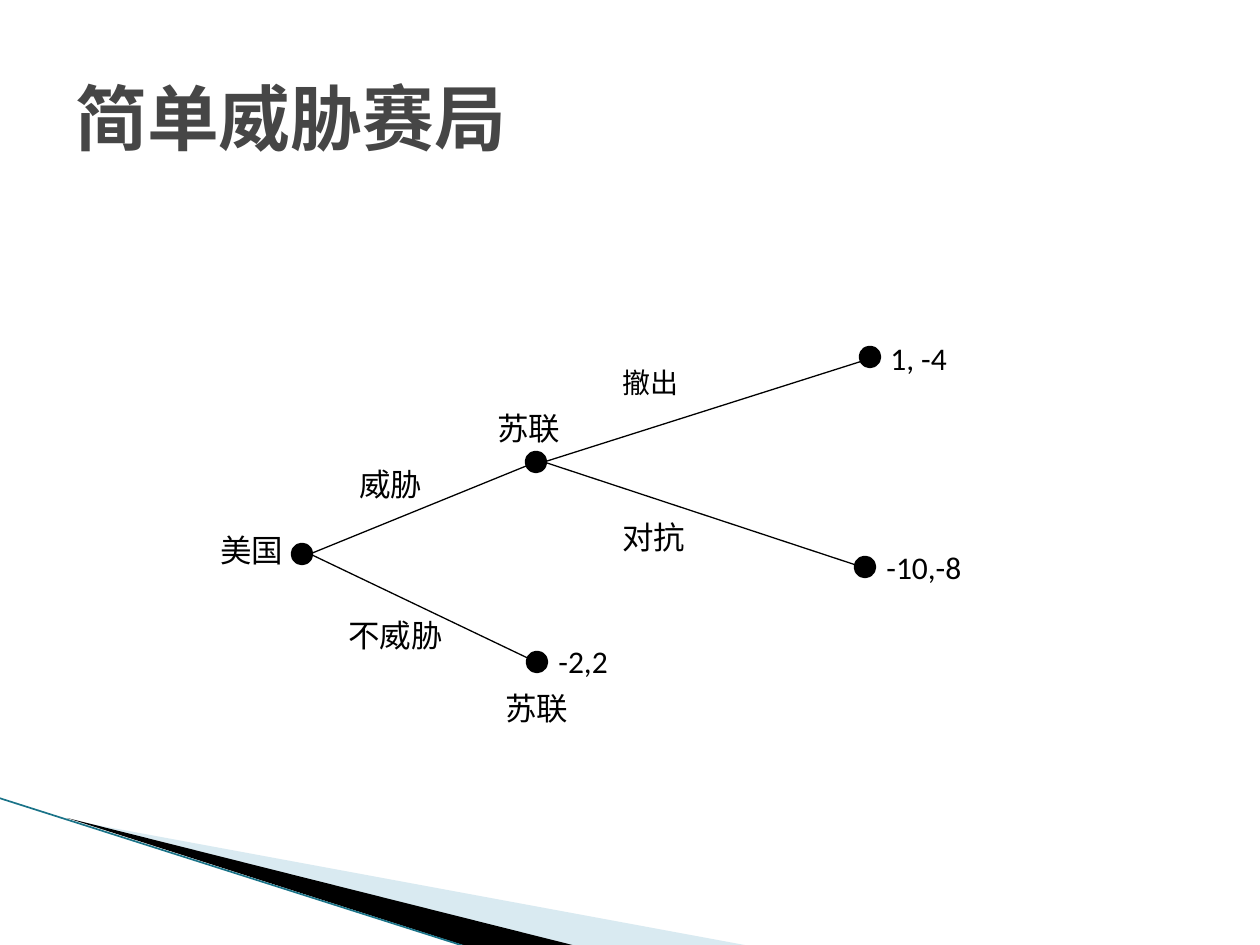
from lxml.etree import SubElement
from pptx import Presentation
from pptx.dml.color import RGBColor
from pptx.enum.shapes import MSO_CONNECTOR, MSO_SHAPE
from pptx.enum.text import MSO_ANCHOR
from pptx.oxml.ns import qn
from pptx.util import Emu, Pt

SCALE = 914400 / 126
BLACK = RGBColor(0x00, 0x00, 0x00)
GREY = RGBColor(0x46, 0x46, 0x46)
PALE = RGBColor(0xA0, 0xCB, 0xDC)
TEAL = RGBColor(0x1A, 0x73, 0x88)
HAN, MONO, SANS = "Noto Sans CJK SC", "DejaVu Sans Mono", "Calibri"

deck = Presentation()
deck.slide_width = Emu(round(1260 * SCALE))
deck.slide_height = Emu(round(945 * SCALE))
slide = deck.slides.add_slide(deck.slide_layouts[6])
shapes = slide.shapes


def add_line(start, end, color, width):
    ends = [Emu(round(n * SCALE)) for n in (*start, *end)]
    line = shapes.add_connector(MSO_CONNECTOR.STRAIGHT, *ends)
    line.line.color.rgb = color
    line.line.width = Pt(width)
    SubElement(line._element.spPr, qn("a:effectLst"))


def add_text(text, area, font, size, color=BLACK):
    box = shapes.add_textbox(*[Emu(round(n * SCALE)) for n in area])
    frame = box.text_frame
    frame.word_wrap = True
    run = frame.paragraphs[0].add_run()
    run.text = text
    run.font.name = font
    run.font.size = Pt(size)
    run.font.color.rgb = color
    # Chinese glyphs take the East Asian font
    SubElement(run.font._element, qn("a:ea")).set("typeface", font)
    return frame


# Wedges in the lower left corner
wedges = [
    (PALE, 40, [(69, 820), (750, 946), (575, 946)]),
    (BLACK, 100, [(67, 818), (576, 946), (469, 947)]),
]
for color, alpha, points in wedges:
    pen = shapes.build_freeform(*points[0], scale=SCALE)
    pen.add_line_segments(points[1:], close=True)
    wedge = pen.convert_to_shape()
    wedge.shadow.inherit = False
    wedge.fill.solid()
    wedge.fill.fore_color.rgb = color
    wedge.line.fill.background()
    if alpha < 100:
        tint = wedge._element.spPr.find(qn("a:solidFill"))[0]
        SubElement(tint, qn("a:alpha")).set("val", str(alpha * 1000))
add_line((-1, 798), (467, 947), TEAL, 0.95)

title = add_text("简单威胁赛局", (63, 38, 1134, 158), HAN, 41, GREY)
title.vertical_anchor = MSO_ANCHOR.MIDDLE
title.paragraphs[0].runs[0].font.bold = True

# Branches of the game tree
root, fork = (310, 554), (544, 462)
branches = [
    (root, (536, 462)),
    (root, (536, 662)),
    (fork, (872, 358)),
    (fork, (862, 567)),
]
for start, end in branches:
    add_line(start, end, BLACK, 0.75)

# Nodes, by centre
DOT = 15
for x, y in [(302, 554), (536, 462), (537, 662), (870, 357), (865, 567)]:
    area = (x - DOT / 2, y - DOT / 2, DOT, DOT)
    dot = shapes.add_shape(MSO_SHAPE.OVAL, *[Emu(round(n * SCALE)) for n in area])
    dot.shadow.inherit = False
    dot.fill.solid()
    dot.fill.fore_color.rgb = BLACK
    dot.line.color.rgb = BLACK
    dot.line.width = Pt(4.33)

# Players, moves and payoffs
labels = [
    ("美国", 208, 525, 102, MONO, 18),
    ("苏联", 485, 403, 102, MONO, 18),
    ("苏联", 493, 683, 102, MONO, 18),
    ("1, -4", 878, 333, 163, SANS, 18),
    ("-10,-8", 874, 542, 163, SANS, 18),
    ("-2,2", 546, 636, 163, SANS, 18),
    ("威胁", 347, 459, 102, MONO, 18),
    ("不威胁", 336, 610, 136, MONO, 18),
    ("对抗", 610, 512, 136, MONO, 18),
    ("撤出", 610, 359, 136, MONO, 16),
]
for text, x, y, width, font, size in labels:
    add_text(text, (x, y, width, 50), font, size)

deck.save("out.pptx")
